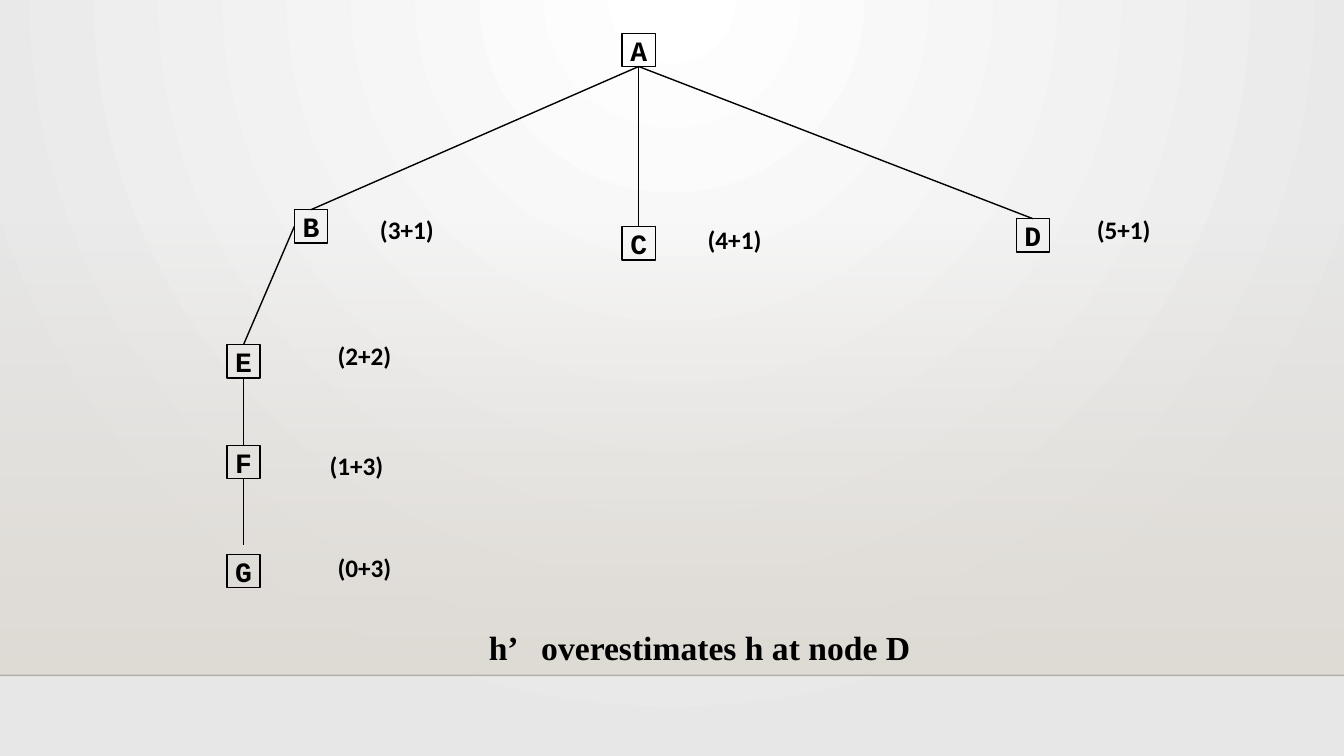
import pptx
import pptx.dml.color
import pptx.enum.shapes
import pptx.enum.text
import pptx.oxml.ns
import pptx.util
from lxml import etree

Inches = pptx.util.Inches
qn = pptx.oxml.ns.qn
WIDTH, HEIGHT = 13.33, 7.5
NODE = 0.33

NODES = {
    "A": (6.17, 0.33),
    "B": (2.92, 2.08),
    "C": (6.17, 2.25),
    "D": (10.08, 2.17),
    "E": (2.25, 3.42),
    "F": (2.25, 4.42),
    "G": (2.25, 5.5),
}
# parent, child, side of the parent, gap above the child
EDGES = [
    ("A", "B", "bottom", 0),
    ("A", "C", "bottom", 0),
    ("A", "D", "bottom", 0),
    ("B", "E", "left", 0),
    ("E", "F", "bottom", 0),
    ("F", "G", "bottom", 0.09),
]
COSTS = [
    ("(3+1)", 3.67, 2.08),
    ("(4+1)", 6.92, 2.18),
    ("(5+1)", 10.78, 2.08),
    ("(2+2)", 3.25, 3.33),
    ("(1+3)", 3.17, 4.42),
    ("(0+3)", 3.25, 5.43),
]


def rgb(value):
    return pptx.dml.color.RGBColor.from_string(value)


def set_alpha(color_element, percent):
    etree.SubElement(color_element, qn("a:alpha")).set("val", str(percent * 1000))


def side_point(name, side):
    """Return the middle of one side of a node."""
    left, top = NODES[name]
    across, down = {"top": (0.5, 0), "bottom": (0.5, 1), "left": (0, 0.5)}[side]
    return left + across * NODE, top + down * NODE


class TreeSlide:
    ink = "000000"
    node_font = {"name": "Courier New", "size": pptx.util.Pt(20), "bold": True}
    cost_font = {"name": "Calibri", "size": pptx.util.Pt(18), "bold": True}
    caption_font = {"name": "Times New Roman", "size": pptx.util.Pt(24), "bold": True}

    def __init__(self, slide):
        self.slide = slide

    def gradient(self, fill, colors):
        fill.gradient()
        for stop, color in zip(fill.gradient_stops, colors):
            stop.color.rgb = rgb(color)

    def backdrop(self):
        """Fill the background with a glow centred on the top edge."""
        self.gradient(self.slide.background.fill, ["FFFFFF", "E7E7E7"])
        glow = next(self.slide.element.iter(qn("a:gradFill")))
        glow.remove(glow.find(qn("a:lin")))
        circle = etree.SubElement(glow, qn("a:path"))
        circle.set("path", "circle")
        focus = etree.SubElement(circle, qn("a:fillToRect"))
        for edge, percent in {"l": 43, "t": 0, "r": 43, "b": 100}.items():
            focus.set(edge, str(percent * 1000))

    def box(self, left, top, width, height):
        box = self.slide.shapes.add_shape(
            pptx.enum.shapes.MSO_SHAPE.RECTANGLE,
            Inches(left), Inches(top), Inches(width), Inches(height))
        box.shadow.inherit = False
        return box

    def floor(self, top, bottom):
        """Draw the band that fades in downwards and its faint lower edge."""
        band = self.box(0, top, WIDTH, bottom - top)
        band.line.fill.background()
        self.gradient(band.fill, ["DFDBD5", "DFDBD5"])
        band.fill.gradient_angle = 270
        set_alpha(next(band.element.spPr.iter(qn("a:srgbClr"))), 0)
        edge = self.line((0, bottom), (WIDTH, bottom), "000001")
        set_alpha(next(edge.element.spPr.iter(qn("a:srgbClr"))), 20)

    def line(self, start, end, color=ink):
        line = self.slide.shapes.add_connector(
            pptx.enum.shapes.MSO_CONNECTOR.STRAIGHT,
            *(Inches(value) for value in (*start, *end)))
        line.line.color.rgb = rgb(color)
        line.line.width = pptx.util.Pt(1)
        etree.SubElement(line.element.spPr, qn("a:effectLst"))
        return line

    def put_text(self, frame, text, font):
        frame.word_wrap = False
        paragraph = frame.paragraphs[0]
        run = paragraph.add_run()
        run.text = text
        for key, value in font.items():
            setattr(run.font, key, value)
        run.font.color.rgb = rgb(self.ink)
        return paragraph

    def node(self, name):
        node = self.box(*NODES[name], NODE, NODE)
        node.fill.background()
        node.line.color.rgb = rgb(self.ink)
        node.line.width = pptx.util.Pt(1)
        node.text_frame.vertical_anchor = pptx.enum.text.MSO_ANCHOR.MIDDLE
        letter = self.put_text(node.text_frame, name, self.node_font)
        letter.alignment = pptx.enum.text.PP_ALIGN.CENTER

    def label(self, text, left, top, width, height, font, tab=None):
        label = self.slide.shapes.add_textbox(
            Inches(left), Inches(top), Inches(width), Inches(height))
        label.text_frame.auto_size = pptx.enum.text.MSO_AUTO_SIZE.SHAPE_TO_FIT_TEXT
        paragraph = self.put_text(label.text_frame, text, font)
        paragraph.alignment = pptx.enum.text.PP_ALIGN.LEFT
        if tab:
            properties = next(label.element.iter(qn("a:pPr")))
            tabs = etree.SubElement(properties, qn("a:tabLst"))
            stop = etree.SubElement(tabs, qn("a:tab"))
            stop.set("pos", str(Inches(tab)))
            stop.set("algn", "l")


def main():
    deck = pptx.Presentation()
    deck.slide_width, deck.slide_height = Inches(WIDTH), Inches(HEIGHT)
    tree = TreeSlide(deck.slides.add_slide(deck.slide_layouts[6]))

    tree.backdrop()
    tree.floor(2.21, 6.7)
    for name in NODES:
        tree.node(name)
    for parent, child, side, gap in EDGES:
        x, y = side_point(child, "top")
        tree.line(side_point(parent, side), (x, y - gap))
    for cost, left, top in COSTS:
        tree.label(cost, left, top, 0.82, 0.4, tree.cost_font)
    tree.label("h’\toverestimates h at node D", 4.75, 6.17, 4.43, 0.5,
               tree.caption_font, tab=0.52)

    deck.save("out.pptx")


if __name__ == "__main__":
    main()
